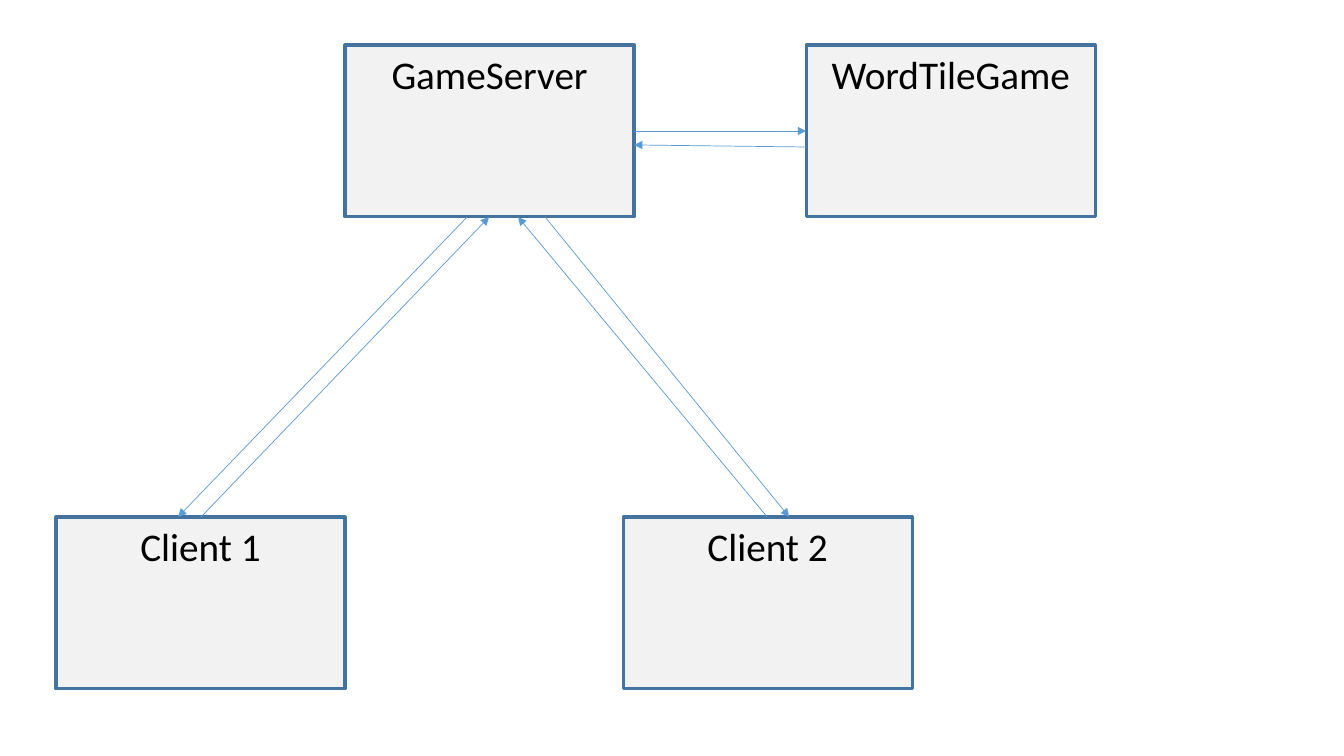
from typing import NamedTuple

from lxml import etree
from pptx import Presentation
from pptx.dml.color import RGBColor
from pptx.enum.shapes import MSO_CONNECTOR, MSO_SHAPE
from pptx.enum.text import MSO_ANCHOR, PP_ALIGN
from pptx.oxml.ns import qn
from pptx.util import Inches, Pt

RECT = MSO_SHAPE.RECTANGLE
STRAIGHT = MSO_CONNECTOR.STRAIGHT
TOP = MSO_ANCHOR.TOP
CENTER = PP_ALIGN.CENTER

SCALE = Inches(1) / 100.8
BOX_W, BOX_H = 289, 172
TOP_ROW, CLIENT_ROW = 45, 517
SERVER_X, GAME_X = 345, 806
SERVER_RIGHT = SERVER_X + BOX_W
SERVER_BOTTOM = TOP_ROW + BOX_H


class Box(NamedTuple):
    text: str
    x: int
    y: int


class Arrow(NamedTuple):
    x1: int
    y1: int
    x2: int
    y2: int


BOXES = [
    Box("GameServer", SERVER_X, TOP_ROW),
    Box("WordTileGame", GAME_X, TOP_ROW),
    Box("Client 1", 56, CLIENT_ROW),
    Box("Client 2", 623, CLIENT_ROW),
]

ARROWS = [
    Arrow(201, CLIENT_ROW, 489, SERVER_BOTTOM),
    Arrow(467, SERVER_BOTTOM, 178, CLIENT_ROW),
    Arrow(767, CLIENT_ROW, 518, SERVER_BOTTOM),
    Arrow(545, SERVER_BOTTOM, 789, CLIENT_ROW),
    Arrow(SERVER_RIGHT, 131, GAME_X, 131),
    Arrow(GAME_X, 147, SERVER_RIGHT, 145),
]


def px(n: int) -> int:
    return round(n * SCALE)


def color(value: str) -> RGBColor:
    return RGBColor.from_string(value)


def draw_box(shapes, box: Box) -> None:
    sp = shapes.add_shape(RECT, px(box.x), px(box.y), px(BOX_W), px(BOX_H))
    sp.shadow.inherit = False
    sp.fill.solid()
    sp.fill.fore_color.rgb = color("F2F2F2")
    sp.line.color.rgb = color("43739E")
    sp.line.width = Pt(2.25)
    tf = sp.text_frame
    tf.text = box.text
    tf.word_wrap = True
    tf.vertical_anchor = TOP
    p = tf.paragraphs[0]
    p.alignment = CENTER
    r = p.runs[0]
    r.font.name = "Calibri"
    r.font.size = Pt(28)
    r.font.color.rgb = color("000000")


def draw_arrow(shapes, arrow: Arrow) -> None:
    cxn = shapes.add_connector(STRAIGHT, *map(px, arrow))
    cxn.line.color.rgb = color("5B9BD5")
    cxn.line.width = Pt(0.5)
    ln = cxn.line._get_or_add_ln()
    etree.SubElement(ln, qn("a:tailEnd"), type="triangle")
    etree.SubElement(cxn._element.spPr, qn("a:effectLst"))


prs = Presentation()
prs.slide_width = Inches(13.33)
prs.slide_height = Inches(7.5)
s = prs.slides.add_slide(prs.slide_layouts[6])

for box in BOXES:
    draw_box(s.shapes, box)
for arrow in ARROWS:
    draw_arrow(s.shapes, arrow)

prs.save("out.pptx")
